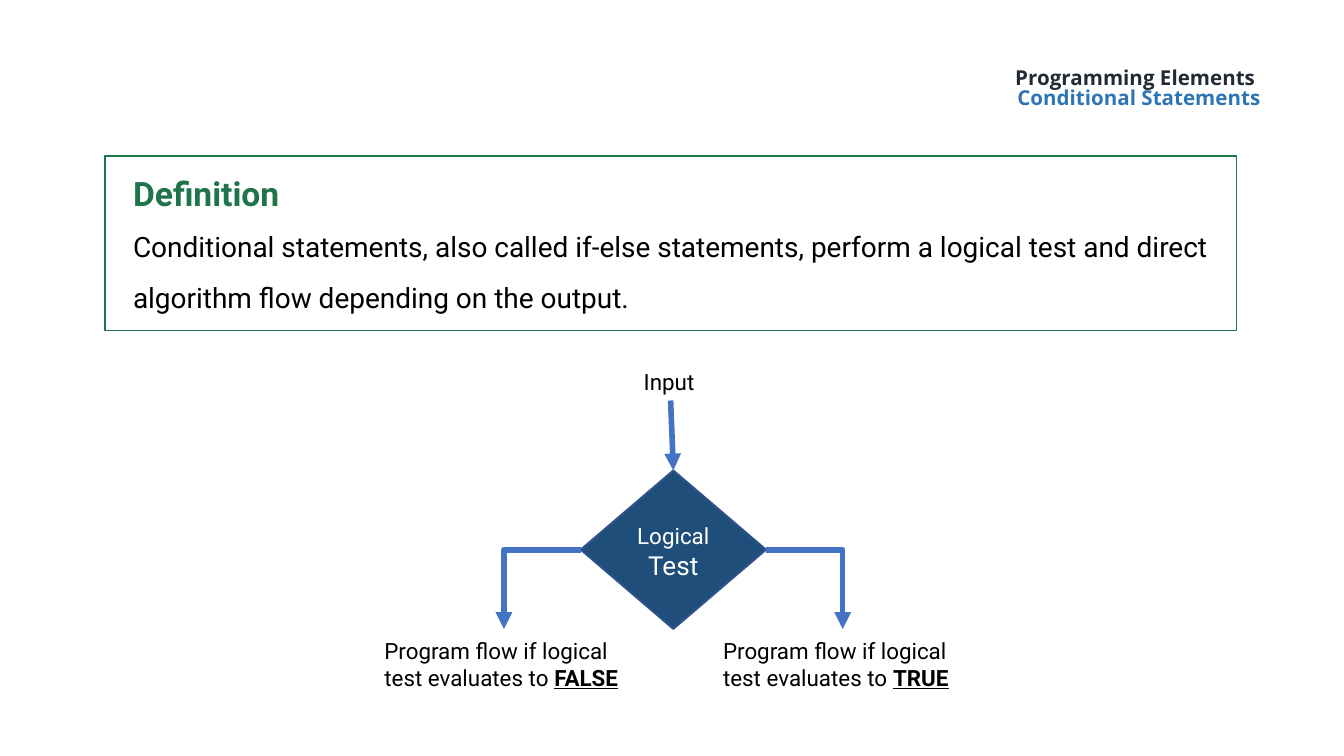
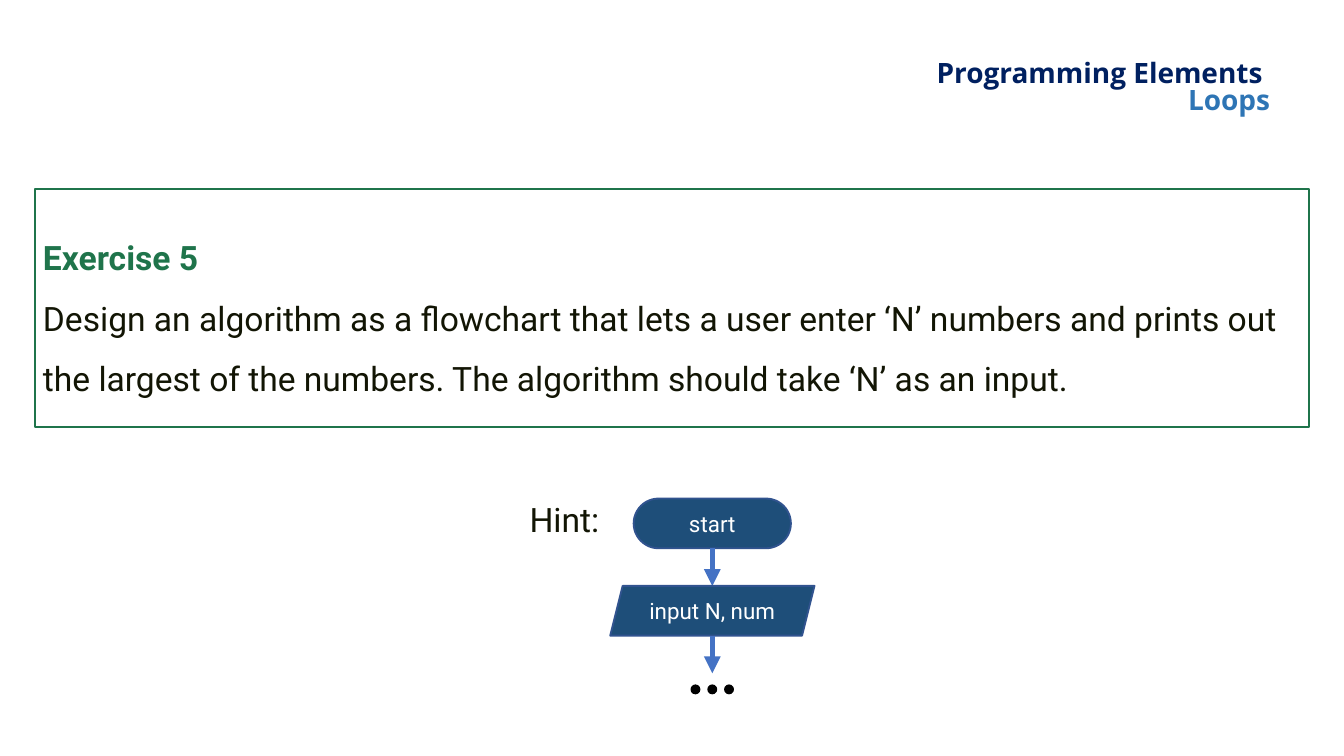
"""Build two slides on conditional statements and loops, laid out on a grid of 100 columns."""
from lxml.etree import SubElement
from pptx import Presentation
from pptx.dml.color import RGBColor
from pptx.enum.shapes import MSO_CONNECTOR as Connector, MSO_SHAPE as Preset
from pptx.enum.text import MSO_ANCHOR as Anchor, PP_ALIGN as Align
from pptx.oxml.ns import qn
from pptx.util import Inches, Pt

COLUMNS, ROWS = 100, 56.25
COLORS = {
    "node": "1E4E79", "node_line": "31538F", "arrow": "4472C4",
    "green": "1F744B", "subtitle": "2E75B5", "slate": "222A35",
    "navy": "002060", "ink": "121504", "black": "000000", "white": "FFFFFF",
}
MARGINS = (0.7, 0.4, 0.7, 0.4)
NO_MARGINS = (0, 0, 0, 0)
TITLE_AREA = (39, 3, 55.5, 7.3)


def cells(*counts):
    """Turn counts of grid cells into lengths."""
    return [Inches(count / 10) for count in counts]


def color(name):
    """Look up a named colour."""
    return RGBColor.from_string(COLORS[name])


def apply(target, values):
    """Set attributes from a dict of format values."""
    for name, value in values.items():
        setattr(target, name, value)


def style(size, tint, font="Roboto", **extra):
    """Describe the look of a run."""
    return {"size": Pt(size), "name": font, "color": tint, **extra}


def add_run(paragraph, text, look):
    """Append a formatted run to a paragraph."""
    run = paragraph.add_run()
    run.text = text
    apply(run.font, {key: value for key, value in look.items() if key != "color"})
    run.font.color.rgb = color(look["color"])


def write(shape, paragraphs, margins=MARGINS, anchor=Anchor.TOP, wrap=True, **layout):
    """Fill a shape with paragraphs, each a list of (text, look) runs."""
    frame = shape.text_frame
    sides = ("margin_left", "margin_top", "margin_right", "margin_bottom")
    apply(frame, dict(zip(sides, cells(*margins))))
    apply(frame, {"word_wrap": wrap, "vertical_anchor": anchor})
    for index, runs in enumerate(paragraphs):
        paragraph = frame.add_paragraph() if index else frame.paragraphs[0]
        apply(paragraph, {"alignment": Align.LEFT, **layout})
        for text, look in runs:
            add_run(paragraph, text, look)
    return frame


def add_label(slide, area, paragraphs, **layout):
    """Add a plain text box."""
    return write(slide.shapes.add_textbox(*cells(*area)), paragraphs, **layout)


def add_block(slide, preset, area, fill, line):
    """Add a filled and outlined preset shape."""
    shape = slide.shapes.add_shape(preset, *cells(*area))
    shape.shadow.inherit = False
    shape.fill.solid()
    shape.fill.fore_color.rgb = color(fill)
    shape.line.color.rgb = color(line)
    shape.line.width = Pt(1)
    return shape


def add_node(slide, preset, area, runs, corner=None):
    """Add a flowchart node with centred white text."""
    node = add_block(slide, preset, area, "node", "node_line")
    if corner is not None:
        node.adjustments[0] = corner
    write(node, [runs], anchor=Anchor.MIDDLE, alignment=Align.CENTER)


def add_arrow(slide, start, end, bent=False):
    """Add an arrow, straight or with one corner."""
    kind = Connector.ELBOW if bent else Connector.STRAIGHT
    arrow = slide.shapes.add_connector(kind, *cells(*start, *end))
    arrow.line.color.rgb = color("arrow")
    arrow.line.width = Pt(3)
    properties = arrow._element.spPr
    if bent:
        properties.find(qn("a:prstGeom")).set("prst", "bentConnector2")
    SubElement(properties.find(qn("a:ln")), qn("a:tailEnd"), type="triangle")
    SubElement(properties, qn("a:effectLst"))


def add_title(slide, topic, size, tint, margins):
    """Add the right-aligned course title with its topic below."""
    heading = style(size, tint, "Open Sans", bold=True)
    frame = add_label(slide, TITLE_AREA, [[("Programming Elements ", heading)]],
                      margins=margins, anchor=Anchor.MIDDLE,
                      alignment=Align.RIGHT, line_spacing=0.8)
    paragraph = frame.paragraphs[0]
    paragraph.add_line_break()
    SubElement(paragraph._p.find(qn("a:br")), qn("a:rPr"), sz=str(size * 100))
    add_run(paragraph, topic, {**heading, "color": "subtitle"})


def add_panel(slide, area, heading, body, look, margins):
    """Add a green-framed panel with a heading and a body."""
    panel = add_block(slide, Preset.RECTANGLE, area, "white", "green")
    paragraphs = [[(heading, style(18, "green", bold=True))], [(body, look)]]
    return write(panel, paragraphs, margins, Anchor.MIDDLE, line_spacing=1.5)


def build_conditionals(slide):
    """Draw the definition and the branching flowchart."""
    panel = add_panel(
        slide, (7.8, 11.6, 84.2, 13), "Definition",
        "Conditional statements, also called if-else statements, perform a logical "
        "test and direct algorithm flow depending on the output.",
        style(15, "black"), (2.1, 0.4, 0.7, 0.4))
    panel.paragraphs[0].line_spacing = 1.0
    add_title(slide, "Conditional Statements", 11, "slate", MARGINS)

    left, top, width, height = diamond = (43.2, 35, 13.8, 11.8)
    center, middle, bottom = left + width / 2, top + height / 2, top + height
    add_node(slide, Preset.DIAMOND, diamond,
             [("Logical", style(12, "white")), (" Test", style(14, "white"))])
    plain = style(12, "black")
    add_label(slide, (47.2, 27, 5.3, 2.8), [[("Input", plain)]], wrap=False)
    add_arrow(slide, (49.9, 29.8), (center, top))
    for side, outcome, label_left, label_width in (
            (-1, "FALSE", 27.9, 19.6), (1, "TRUE", 53.1, 18.9)):
        corner = center + side * width / 2
        add_arrow(slide, (corner, middle), (corner + side * 5.7, bottom), bent=True)
        add_label(slide, (label_left, 47, label_width, 4.8), [
            [("Program flow if logical", plain)],
            [("test evaluates to ", plain),
             (outcome, {**plain, "bold": True, "underline": True})]])


def build_exercise(slide):
    """Draw the exercise and the start of its flowchart."""
    add_panel(
        slide, (2.6, 14.1, 94.8, 17.7), "Exercise 5",
        "Design an algorithm as a flowchart that lets a user enter ‘N’ numbers and "
        "prints out the largest of the numbers. The algorithm should take ‘N’ as an input.",
        style(18, "ink"), (0.6, 0.3, 0.7, 0.4))
    add_title(slide, "Loops", 15, "navy", NO_MARGINS)
    add_label(slide, (39.4, 37.1, 6, 3), [[("Hint:", style(18, "ink"))]],
              margins=NO_MARGINS, wrap=False)

    center, top, height, gap = 53, 37.1, 3.7, 2.8
    for preset, width, text, corner in (
            (Preset.ROUNDED_RECTANGLE, 11.7, "start", 0.5),
            (Preset.PARALLELOGRAM, 15.2, "input N, num", 0.25)):
        add_node(slide, preset, (center - width / 2, top, width, height),
                 [(text, style(12, "white"))], corner)
        add_arrow(slide, (center, top + height), (center, top + height + gap))
        top += height + gap
    dot, pitch = 0.6, 1.25
    for step in (-1, 0, 1):
        area = (center + step * pitch - dot / 2, 51, dot, dot)
        add_block(slide, Preset.OVAL, area, "black", "black")


def main():
    """Build and save the presentation."""
    presentation = Presentation()
    width, height = cells(COLUMNS, ROWS)
    apply(presentation, {"slide_width": width, "slide_height": height})
    for build in (build_conditionals, build_exercise):
        build(presentation.slides.add_slide(presentation.slide_layouts[6]))
    presentation.save("out.pptx")


if __name__ == "__main__":
    main()
